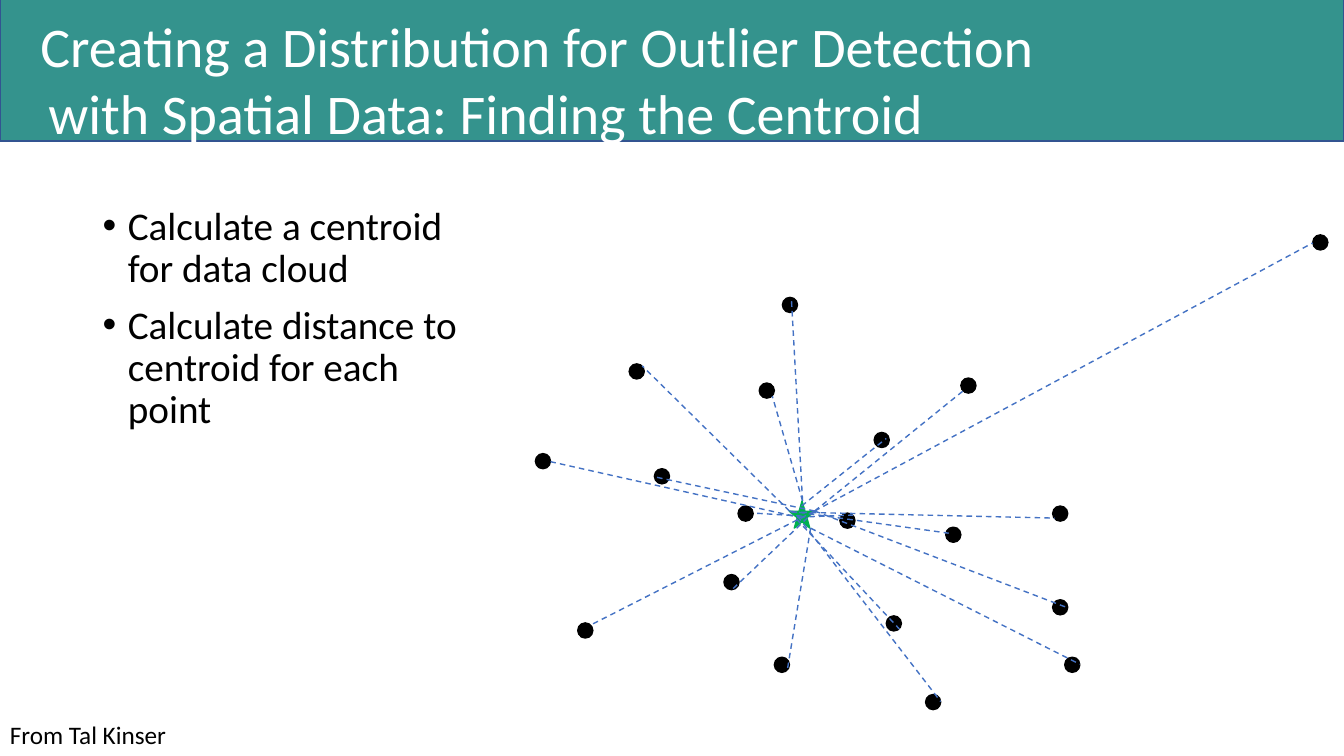
from lxml import etree
from pptx import Presentation
from pptx.dml.color import RGBColor
from pptx.enum.dml import MSO_LINE_DASH_STYLE as Dash
from pptx.enum.shapes import MSO_CONNECTOR as Connector, MSO_SHAPE as Preset
from pptx.enum.text import MSO_ANCHOR as Anchor, MSO_AUTO_SIZE as AutoSize, PP_ALIGN as Align
from pptx.oxml.ns import qn
from pptx.util import Inches, Pt

WIDTH, HEIGHT = 13.33, 7.5
FONT = "Calibri"
COLORS = {"banner": "34938D", "banner edge": "325491", "title": "FFFFFF",
          "text": "000000", "dot": "000000", "centroid": "00B050", "spoke": "4472C4"}

# Title lines with their left indents
TITLE = [("Creating a Distribution for Outlier Detection", 0.3),
         ("with Spatial Data: Finding the Centroid", 0.38)]
STEPS = ["Calculate a centroid for data cloud",
         "Calculate distance to centroid for each point"]
CREDIT = "From Tal Kinser"

DOT = 0.15
STAR = (7.83, 4.97, 0.25, 0.27)
TOP, LEFT, RIGHT, FOOT = (7.96, 4.97), (7.83, 5.07), (8.08, 5.07), (8.04, 5.24)

# Data point (left, top), spoke start at the centroid, spoke end at the point
POINTS = [
    ((7.53, 3.8), TOP, (7.66, 3.93)),
    ((8.67, 4.29), (7.95, 5.02), (8.79, 4.35)),
    ((8.33, 5.09), (7.93, 5.13), (8.46, 5.11)),
    ((7.68, 6.52), FOOT, (7.81, 6.64)),
    ((7.18, 5.7), RIGHT, (7.26, 5.85)),
    ((7.32, 5.02), (7.95, 5.12), (7.47, 5.09)),
    ((9.53, 3.75), RIGHT, (9.55, 3.88)),
    ((9.38, 5.23), LEFT, (9.41, 5.29)),
    ((8.79, 6.11), (7.9, 5.15), (8.92, 6.24)),
    ((10.44, 5.95), RIGHT, (10.59, 6.03)),
    ((10.44, 5.02), (7.85, 5.08), (10.46, 5.14)),
    ((10.56, 6.52), FOOT, (10.71, 6.59)),
    ((9.18, 6.89), (7.91, 5.12), (9.33, 6.96)),
    ((5.73, 6.18), RIGHT, (5.86, 6.2)),
    ((6.49, 4.65), RIGHT, (6.49, 4.73)),
    ((5.31, 4.5), (7.96, 5.14), (5.46, 4.58)),
    ((6.24, 3.61), LEFT, (6.37, 3.63)),
    ((7.76, 2.95), TOP, (7.85, 2.98)),
    ((13.02, 2.33), RIGHT, (13.02, 2.41)),
]


def rgb(role):
    return RGBColor.from_string(COLORS[role])


def inches(*lengths):
    return [Inches(length) for length in lengths]


def paint(shape, fill, edge):
    shape.fill.solid()
    shape.fill.fore_color.rgb = rgb(fill)
    shape.line.color.rgb = rgb(edge)
    shape.line.width = Pt(1)


def set_font(paragraph, size, role):
    paragraph.font.name = FONT
    paragraph.font.size = Pt(size)
    paragraph.font.color.rgb = rgb(role)


def write_lines(frame, lines):
    frame.text = "\n".join(lines)
    return frame.paragraphs


def add_marker(slide, preset, box, role):
    marker = slide.shapes.add_shape(preset, *inches(*box))
    marker.shadow.inherit = False
    paint(marker, role, role)


def add_spoke(slide, start, end):
    spoke = slide.shapes.add_connector(Connector.STRAIGHT, *inches(*start, *end))
    spoke.line.color.rgb = rgb("spoke")
    spoke.line.width = Pt(1)
    spoke.line.dash_style = Dash.DASH
    etree.SubElement(spoke._element.spPr, qn("a:effectLst"))


def add_title(slide):
    banner = slide.shapes.title
    banner.left, banner.top, banner.width, banner.height = inches(0, -0.01, WIDTH, 1.41)
    paint(banner, "banner", "banner edge")
    frame = banner.text_frame
    frame.auto_size = AutoSize.NONE
    frame.vertical_anchor = Anchor.TOP
    frame.margin_top, frame.margin_bottom = inches(0.12, 0)
    paragraphs = write_lines(frame, [line for line, _ in TITLE])
    for paragraph, (_, indent) in zip(paragraphs, TITLE):
        paragraph._p.get_or_add_pPr().set("marL", str(Inches(indent)))
        paragraph.alignment = Align.LEFT
        paragraph.line_spacing = 1.0
        set_font(paragraph, 40, "title")


def add_steps(slide):
    frame = slide.shapes.add_textbox(*inches(0.92, 2, 3.86, 4.76)).text_frame
    frame.word_wrap = True
    for index, paragraph in enumerate(write_lines(frame, STEPS)):
        properties = paragraph._p.get_or_add_pPr()
        properties.set("marL", str(Inches(0.25)))
        properties.set("indent", str(Inches(-0.25)))
        etree.SubElement(properties, qn("a:buFont")).set("typeface", "Arial")
        etree.SubElement(properties, qn("a:buChar")).set("char", "•")
        paragraph.line_spacing = 0.9
        paragraph.space_before = Pt(10 if index else 0)
        set_font(paragraph, 28, "text")


def add_credit(slide):
    frame = slide.shapes.add_textbox(*inches(0, 7.09, 1.77, 0.4)).text_frame
    frame.word_wrap = False
    frame.auto_size = AutoSize.SHAPE_TO_FIT_TEXT
    set_font(write_lines(frame, [CREDIT])[0], 18, "text")


def main():
    deck = Presentation()
    deck.slide_width, deck.slide_height = inches(WIDTH, HEIGHT)
    slide = deck.slides.add_slide(deck.slide_layouts.get_by_name("Title Only"))
    add_title(slide)
    add_steps(slide)
    for corner, _, _ in POINTS:
        add_marker(slide, Preset.OVAL, (*corner, DOT, DOT), "dot")
    add_marker(slide, Preset.STAR_5_POINT, STAR, "centroid")
    for _, start, end in POINTS:
        add_spoke(slide, start, end)
    add_credit(slide)
    deck.save("out.pptx")


if __name__ == "__main__":
    main()
